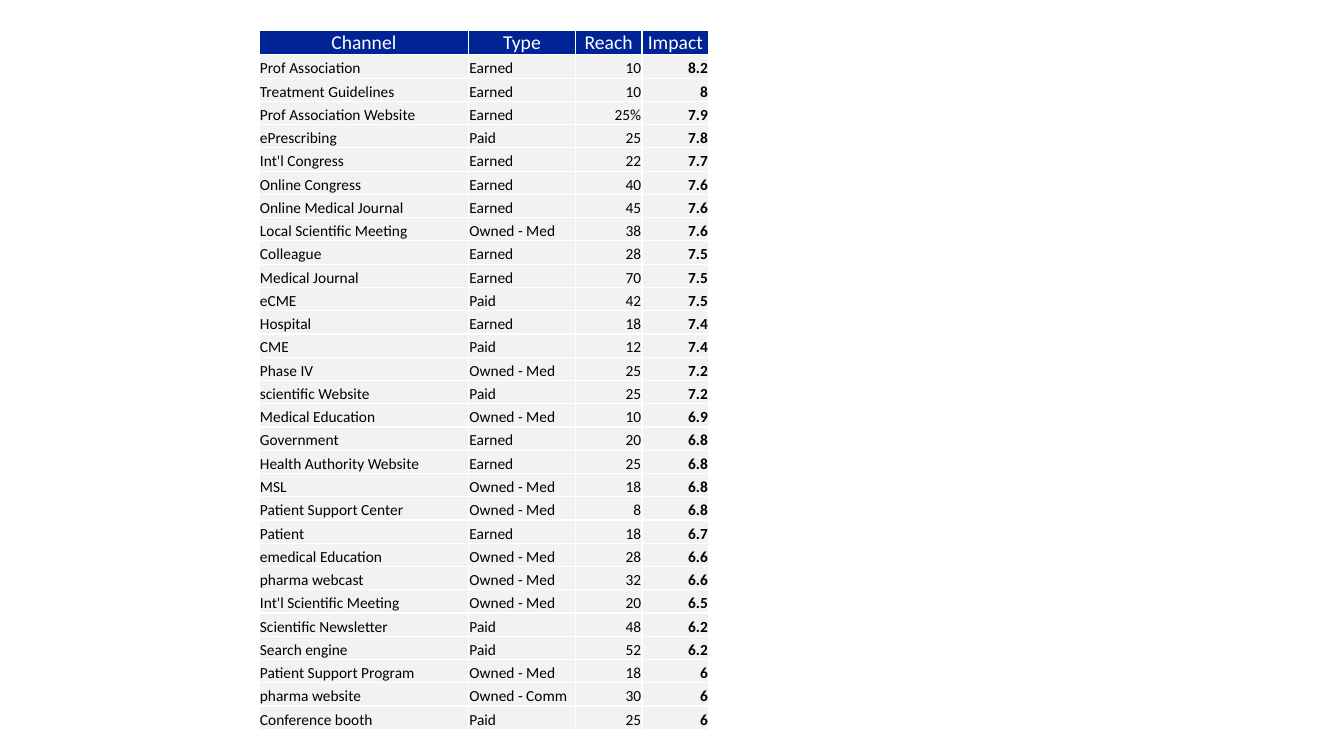
import lxml.etree
import pptx
import pptx.dml.color
import pptx.enum.text
import pptx.oxml
import pptx.oxml.ns
import pptx.util

Cm = pptx.util.Cm
Pt = pptx.util.Pt
RGBColor = pptx.dml.color.RGBColor
ALIGN = pptx.enum.text.PP_ALIGN

COLORS = {"header": "002395", "body": "F2F2F2", "border": "FFFFFF",
          "header_text": "FFFFFF", "body_text": "000000"}
COLUMN_WIDTHS = [5.28, 2.69, 1.68, 1.68]
COLUMN_ALIGNMENTS = [ALIGN.LEFT, ALIGN.LEFT, ALIGN.RIGHT, ALIGN.RIGHT]
TABLE_HEIGHT = 17.6
IMPACT_COLUMN = 3

CHANNELS = [
    ("Channel", "Type", "Reach", "Impact"),
    ("Prof Association", "Earned", "10", "8.2"),
    ("Treatment Guidelines", "Earned", "10", "8"),
    ("Prof Association Website", "Earned", "25%", "7.9"),
    ("ePrescribing", "Paid", "25", "7.8"),
    ("Int'l Congress", "Earned", "22", "7.7"),
    ("Online Congress", "Earned", "40", "7.6"),
    ("Online Medical Journal", "Earned", "45", "7.6"),
    ("Local Scientific Meeting", "Owned - Med", "38", "7.6"),
    ("Colleague", "Earned", "28", "7.5"),
    ("Medical Journal", "Earned", "70", "7.5"),
    ("eCME", "Paid", "42", "7.5"),
    ("Hospital", "Earned", "18", "7.4"),
    ("CME", "Paid", "12", "7.4"),
    ("Phase IV", "Owned - Med", "25", "7.2"),
    ("scientific Website", "Paid", "25", "7.2"),
    ("Medical Education", "Owned - Med", "10", "6.9"),
    ("Government", "Earned", "20", "6.8"),
    ("Health Authority Website", "Earned", "25", "6.8"),
    ("MSL", "Owned - Med", "18", "6.8"),
    ("Patient Support Center", "Owned - Med", "8", "6.8"),
    ("Patient", "Earned", "18", "6.7"),
    ("emedical Education", "Owned - Med", "28", "6.6"),
    ("pharma webcast", "Owned - Med", "32", "6.6"),
    ("Int'l Scientific Meeting", "Owned - Med", "20", "6.5"),
    ("Scientific Newsletter", "Paid", "48", "6.2"),
    ("Search engine", "Paid", "52", "6.2"),
    ("Patient Support Program", "Owned - Med", "18", "6"),
    ("pharma website", "Owned - Comm", "30", "6"),
    ("Conference booth", "Paid", "25", "6"),
]


def add_borders(cell):
    properties = cell._tc.get_or_add_tcPr()
    for side in ("lnL", "lnR", "lnT", "lnB"):
        line = lxml.etree.SubElement(properties, pptx.oxml.ns.qn(f"a:{side}"), w=str(Pt(1)))
        fill = lxml.etree.SubElement(line, pptx.oxml.ns.qn("a:solidFill"))
        lxml.etree.SubElement(fill, pptx.oxml.ns.qn("a:srgbClr"), val=COLORS["border"])


presentation = pptx.Presentation()
presentation.slide_width = Cm(33.87)
presentation.slide_height = Cm(19.05)
slide = presentation.slides.add_slide(presentation.slide_layouts[6])

table = slide.shapes.add_table(
    len(CHANNELS), len(COLUMN_WIDTHS),
    Cm(6.53), Cm(0.76), Cm(sum(COLUMN_WIDTHS)), Cm(TABLE_HEIGHT)).table
table.first_row = False
table.horz_banding = False
for column, width in zip(table.columns, COLUMN_WIDTHS):
    column.width = Cm(width)

for row_index, channel in enumerate(CHANNELS):
    is_header = row_index == 0
    table.rows[row_index].height = Cm(TABLE_HEIGHT / len(CHANNELS))
    for column_index, text in enumerate(channel):
        cell = table.cell(row_index, column_index)
        add_borders(cell)
        cell.fill.solid()
        cell.fill.fore_color.rgb = RGBColor.from_string(COLORS["header" if is_header else "body"])
        cell.vertical_anchor = pptx.enum.text.MSO_ANCHOR.BOTTOM
        cell.margin_left = cell.margin_right = cell.margin_top = Cm(0.02)
        cell.margin_bottom = 0
        paragraph = cell.text_frame.paragraphs[0]
        paragraph.alignment = ALIGN.CENTER if is_header else COLUMN_ALIGNMENTS[column_index]
        run = paragraph.add_run()
        run.text = text
        run.font.name = "Calibri"
        run.font.size = Pt(14 if is_header else 11)
        run.font.bold = not is_header and column_index == IMPACT_COLUMN
        run.font.color.rgb = RGBColor.from_string(
            COLORS["header_text" if is_header else "body_text"])

presentation.save("out.pptx")
